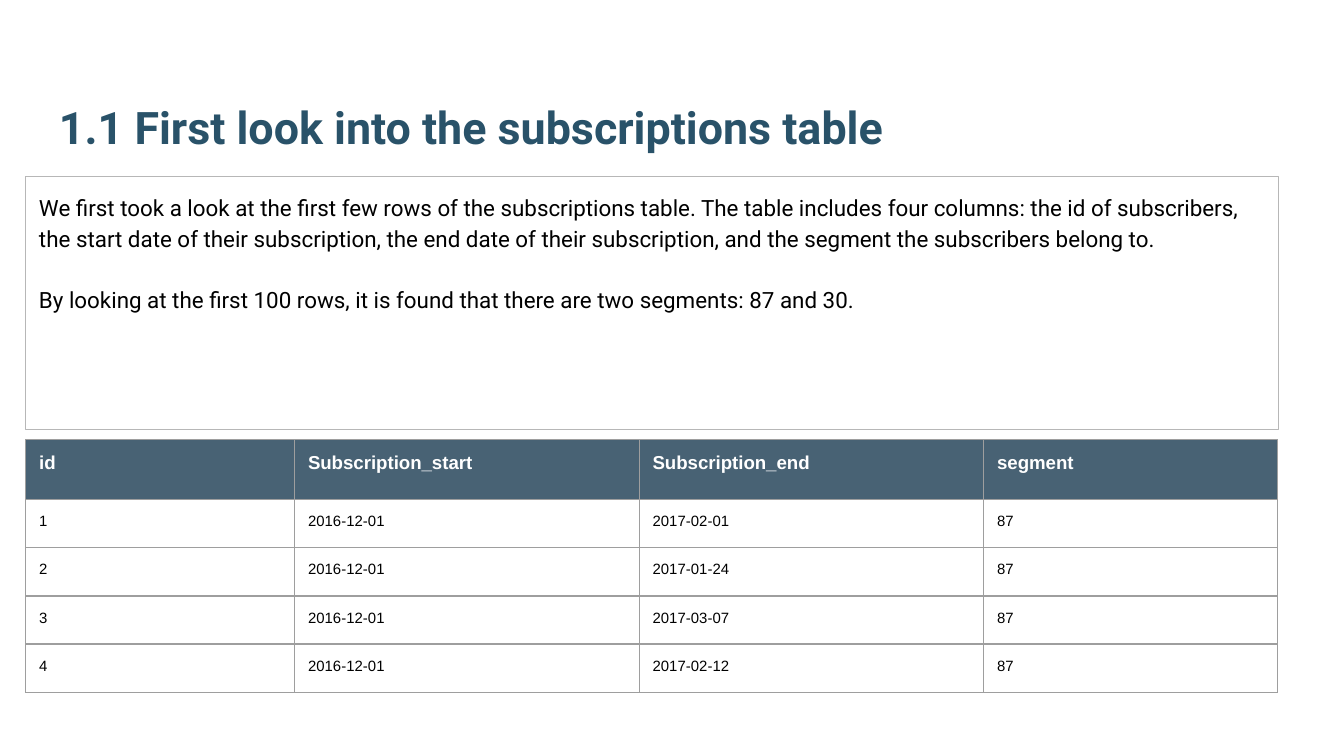
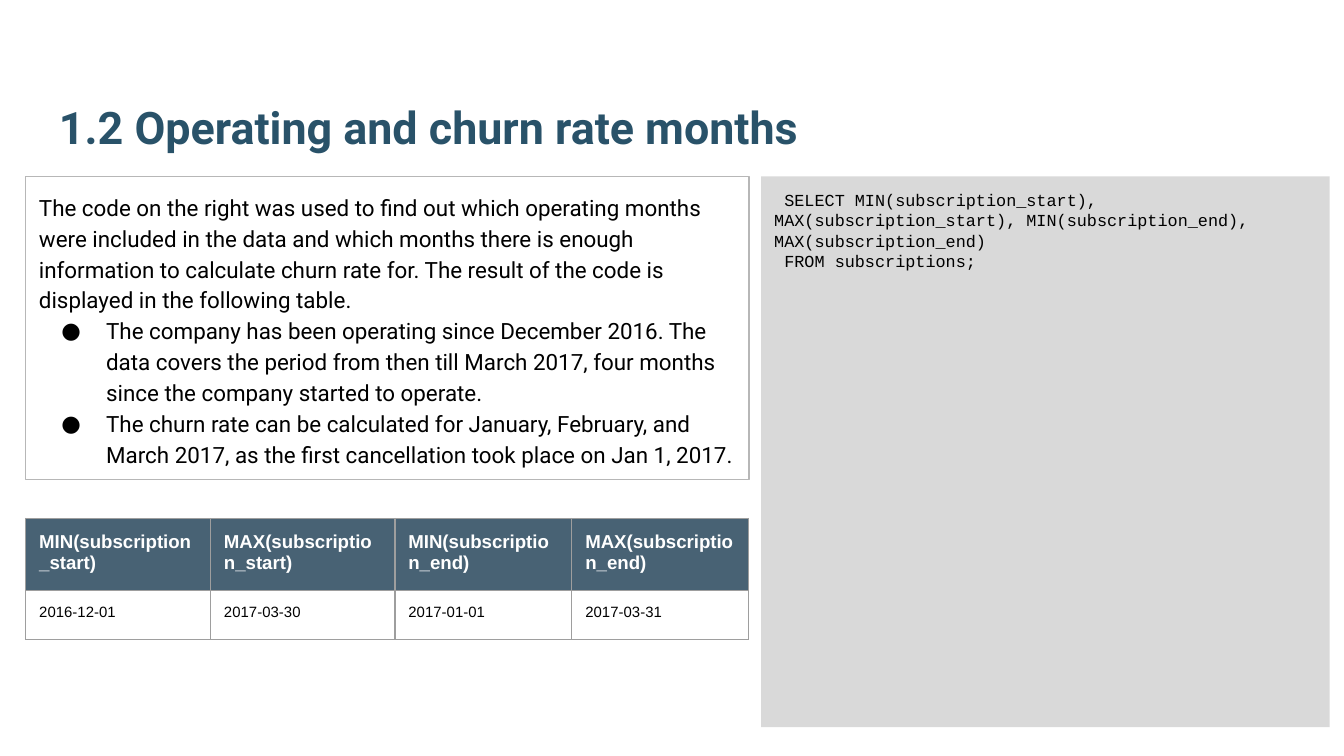
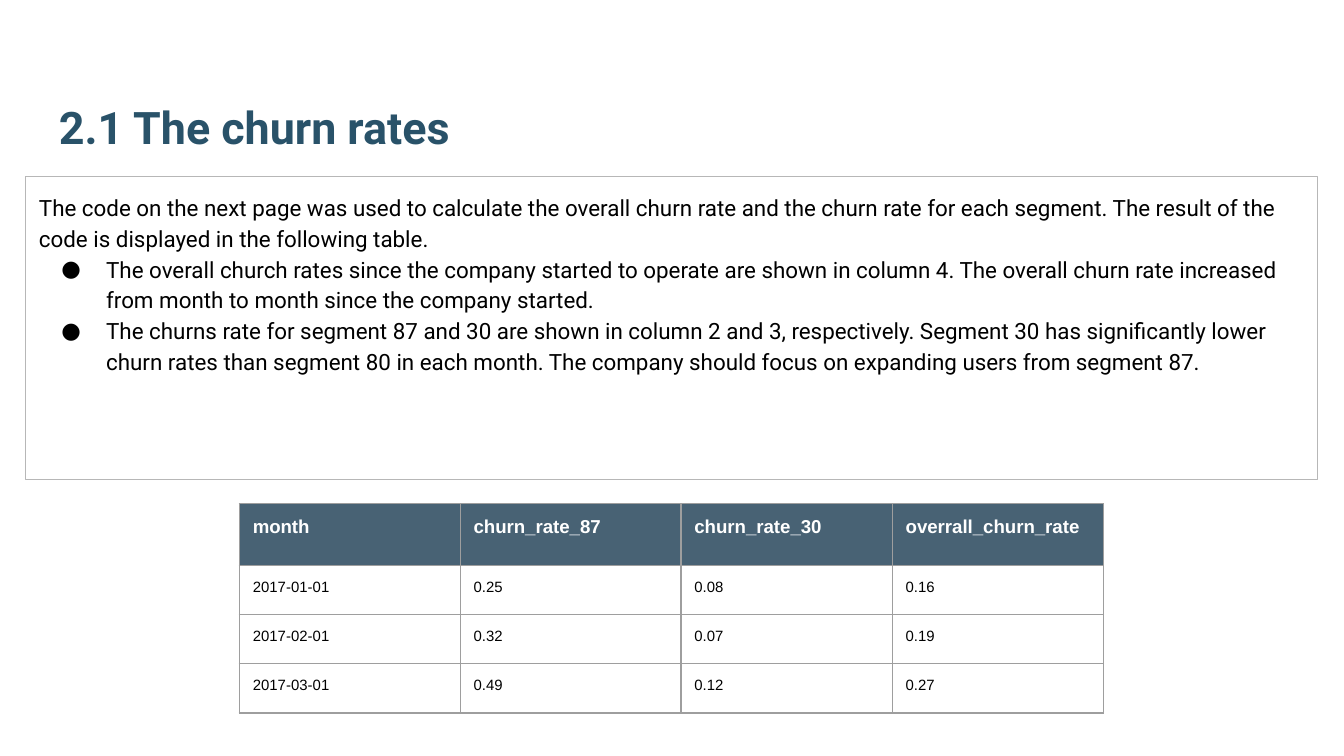
from lxml.etree import SubElement
from pptx import Presentation
from pptx.dml.color import RGBColor
from pptx.enum.shapes import MSO_SHAPE as Shape
from pptx.enum.text import MSO_ANCHOR as Anchor, PP_ALIGN as Align
from pptx.oxml import parse_xml
from pptx.oxml.ns import nsdecls, qn
from pptx.util import Pt

TITLE_BLUE = RGBColor(0x29, 0x52, 0x69)
HEADER_BLUE = RGBColor(0x20, 0x40, 0x56)
PANEL_EDGE = RGBColor(0xB7, 0xB7, 0xB7)
GRID_GREY = RGBColor(0x9E, 0x9E, 0x9E)
CODE_GREY = RGBColor(0xD9, 0xD9, 0xD9)
BLACK = RGBColor(0, 0, 0)
WHITE = RGBColor(0xFF, 0xFF, 0xFF)

LEFT = 13.8
PANEL_TOP = 94.5
INSET = 7.2
LINE_WIDTH = 0.75


class Report:
    """Holds the shared style and the current slide of the report."""

    def __init__(self):
        self.deck = Presentation()
        self.deck.slide_width, self.deck.slide_height = Pt(720), Pt(405)
        self.slide = None

    def new_slide(self, title):
        self.slide = self.deck.slides.add_slide(self.deck.slide_layouts[6])
        heading = self.slide.shapes.add_textbox(Pt(24.5), Pt(23), Pt(671), Pt(66.3))
        frame = self.prepare_frame(heading.text_frame, Anchor.BOTTOM)
        self.set_text(frame.paragraphs[0], title, "Roboto", 24, TITLE_BLUE, bold=True)

    def prepare_frame(self, frame, anchor=Anchor.TOP):
        frame.word_wrap = True
        frame.vertical_anchor = anchor
        frame.margin_left = frame.margin_right = Pt(INSET)
        frame.margin_top = frame.margin_bottom = Pt(INSET)
        return frame

    def set_text(self, paragraph, text, face, size, color, bold=False):
        paragraph.text = text
        paragraph.alignment = Align.LEFT
        font = paragraph.font
        font.name, font.size, font.bold = face, Pt(size), bold
        font.color.rgb = color

    def panel(self, left, width, height):
        panel = self.slide.shapes.add_shape(
            Shape.RECTANGLE, Pt(left), Pt(PANEL_TOP), Pt(width), Pt(height))
        panel.shadow.inherit = False
        self.prepare_frame(panel.text_frame)
        return panel

    def add_bullet(self, paragraph):
        properties = paragraph._p.get_or_add_pPr()
        properties.set("marL", str(Pt(36)))
        properties.set("indent", str(Pt(-24)))
        color = SubElement(properties, qn("a:buClr"))
        SubElement(color, qn("a:srgbClr"), val=str(BLACK))
        SubElement(properties, qn("a:buFont"), typeface="Roboto")
        SubElement(properties, qn("a:buChar"), char="●")

    def commentary(self, width, height, statements, findings=(), gap=0):
        panel = self.panel(LEFT, width, height)
        panel.fill.background()
        panel.line.color.rgb = PANEL_EDGE
        panel.line.width = Pt(LINE_WIDTH)
        frame = panel.text_frame
        for index, text in enumerate([*statements, *findings]):
            paragraph = frame.add_paragraph() if index else frame.paragraphs[0]
            if index >= len(statements):
                self.add_bullet(paragraph)
            elif index:
                paragraph.space_before = Pt(gap)
            paragraph.line_spacing = 1.15
            self.set_text(paragraph, text, "Roboto", 12, BLACK)

    def code(self, left, width, height, lines):
        panel = self.panel(left, width, height)
        panel.fill.solid()
        panel.fill.fore_color.rgb = CODE_GREY
        panel.line.fill.background()
        frame = panel.text_frame
        for index, line in enumerate(lines):
            paragraph = frame.add_paragraph() if index else frame.paragraphs[0]
            self.set_text(paragraph, line, "Courier New", 9, BLACK)

    def table(self, left, top, widths, header_height, row_height, rows):
        heights = [header_height] + [row_height] * (len(rows) - 1)
        table = self.slide.shapes.add_table(
            len(rows), len(widths), Pt(left), Pt(top),
            Pt(sum(widths)), Pt(sum(heights))).table
        table.horz_banding = False
        for column, width in zip(table.columns, widths):
            column.width = Pt(width)
        for row, height, values in zip(table.rows, heights, rows):
            row.height = Pt(height)
            for cell, value in zip(row.cells, values):
                self.fill_cell(cell, value, values is rows[0])

    def fill_cell(self, cell, value, is_header):
        cell.margin_left = cell.margin_right = Pt(INSET)
        cell.margin_top = cell.margin_bottom = Pt(INSET)
        cell.vertical_anchor = Anchor.TOP
        paragraph = cell.text_frame.paragraphs[0]
        properties = cell._tc.get_or_add_tcPr()
        if is_header:
            cell.fill.solid()
            cell.fill.fore_color.rgb = HEADER_BLUE
            tint = properties.find(qn("a:solidFill")).find(qn("a:srgbClr"))
            SubElement(tint, qn("a:alpha"), val="82000")
            self.set_text(paragraph, value, "Arial", 10, WHITE, bold=True)
        else:
            cell.fill.background()
            self.set_text(paragraph, value, "Arial", 8, BLACK)
        for position, side in enumerate("LRTB"):
            properties.insert(position, parse_xml(
                f'<a:ln{side} {nsdecls("a")} w="{Pt(LINE_WIDTH)}"><a:solidFill>'
                f'<a:srgbClr val="{GRID_GREY}"/></a:solidFill></a:ln{side}>'))


def main():
    report = Report()

    report.new_slide("1.1 First look into the subscriptions table")
    report.commentary(671, 135.5, [
        "We first took a look at the first few rows of the subscriptions table. "
        "The table includes four columns: the id of subscribers, the start date of "
        "their subscription, the end date of their subscription, and the segment "
        "the subscribers belong to.",
        "By looking at the first 100 rows, it is found that there are two "
        "segments: 87 and 30.",
    ], gap=16.5)
    subscription_ends = ["2017-02-01", "2017-01-24", "2017-03-07", "2017-02-12"]
    report.table(LEFT, 235.5, [144, 184.6, 184.6, 157.6], 32.2, 25.8, [
        ["id", "Subscription_start", "Subscription_end", "segment"],
        *([str(number), "2016-12-01", end, "87"]
          for number, end in enumerate(subscription_ends, 1)),
    ])

    report.new_slide("1.2 Operating and churn rate months")
    report.code(407.7, 304.6, 295, [
        " SELECT MIN(subscription_start), MAX(subscription_start), "
        "MIN(subscription_end), MAX(subscription_end)",
        " FROM subscriptions;",
    ])
    report.commentary(387.5, 162.5, [
        "The code on the right was used to find out which operating months were "
        "included in the data and which months there is enough information to "
        "calculate churn rate for. The result of the code is displayed in the "
        "following table.",
    ], [
        "The company has been operating since December 2016. The data covers the "
        "period from then till March 2017, four months since the company started "
        "to operate.",
        "The churn rate can be calculated for January, February, and March 2017, "
        "as the first cancellation took place on Jan 1, 2017.",
    ])
    report.table(LEFT, 277.8, [99, 98.8, 94.8, 94.8], 33, 26.4, [
        ["MIN(subscription_start)", "MAX(subscription_start)",
         "MIN(subscription_end)", "MAX(subscription_end)"],
        ["2016-12-01", "2017-03-30", "2017-01-01", "2017-03-31"],
    ])

    report.new_slide("2.1 The churn rates")
    report.commentary(692, 162.5, [
        "The code on the next page was used to calculate the overall churn rate "
        "and the churn rate for each segment. The result of the code is displayed "
        "in the following table.",
    ], [
        "The overall church rates since the company started to operate are shown "
        "in column 4. The overall churn rate increased from month to month since "
        "the company started.",
        "The churns rate for segment 87 and 30 are shown in column 2 and 3, "
        "respectively. Segment 30 has significantly lower churn rates than segment "
        "80 in each month. The company should focus on expanding users from "
        "segment 87.",
    ])
    report.table(128.2, 269.8, [118.3, 118.3, 113.2, 113.2], 33, 26.4, [
        ["month", "churn_rate_87", "churn_rate_30", "overrall_churn_rate"],
        ["2017-01-01", "0.25", "0.08", "0.16"],
        ["2017-02-01", "0.32", "0.07", "0.19"],
        ["2017-03-01", "0.49", "0.12", "0.27"],
    ])

    report.deck.save("out.pptx")


if __name__ == "__main__":
    main()
